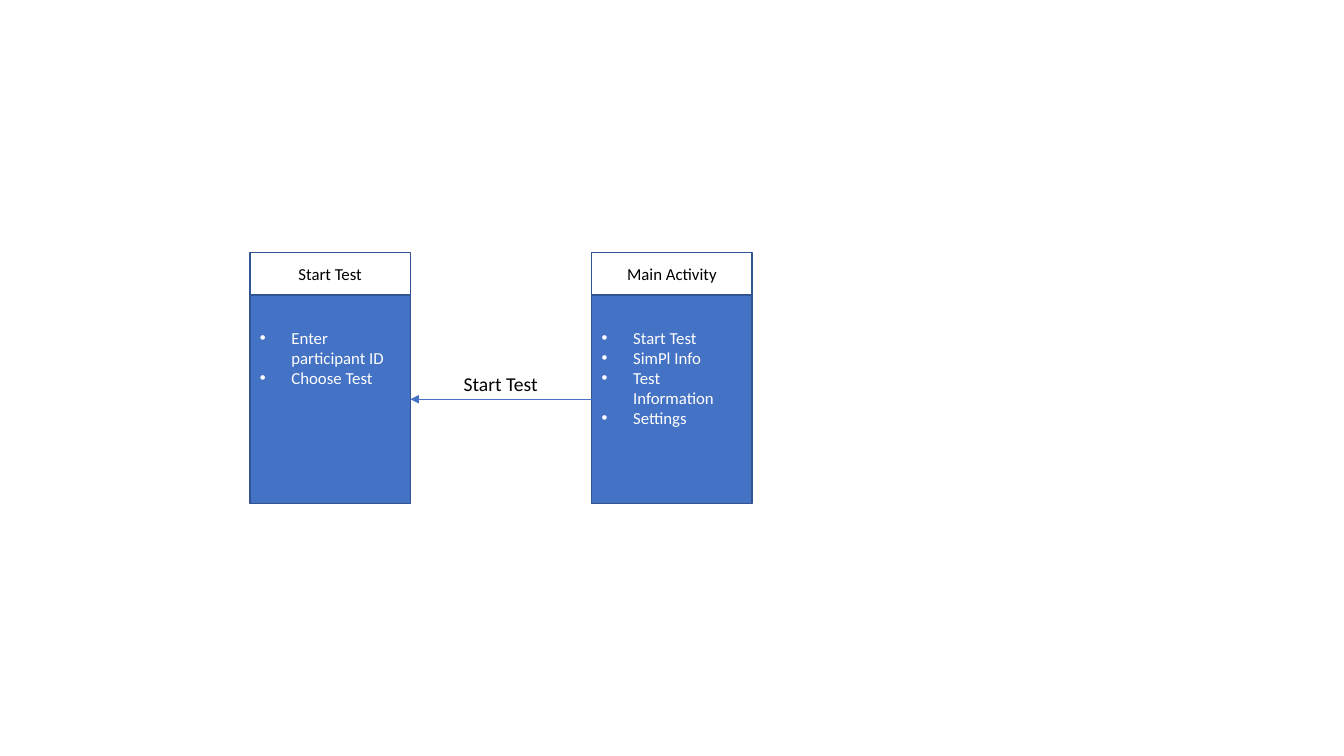
from lxml import etree
from pptx import Presentation
from pptx.dml.color import RGBColor
from pptx.enum.shapes import MSO_CONNECTOR, MSO_SHAPE
from pptx.enum.text import MSO_ANCHOR, MSO_AUTO_SIZE, PP_ALIGN
from pptx.oxml.ns import qn
from pptx.util import Pt

RECTANGLE = MSO_SHAPE.RECTANGLE
STRAIGHT = MSO_CONNECTOR.STRAIGHT
TOP, MIDDLE = MSO_ANCHOR.TOP, MSO_ANCHOR.MIDDLE
LEFT, CENTER = PP_ALIGN.LEFT, PP_ALIGN.CENTER
FIT_SHAPE = MSO_AUTO_SIZE.SHAPE_TO_FIT_TEXT
LEFT_SITE, RIGHT_SITE = 1, 3

SCREENS = [
    {"title": "Main Activity", "left": 422.64,
     "items": ["Start Test", "SimPl Info", "Test Information", "Settings"]},
    {"title": "Start Test", "left": 178.56,
     "items": ["Enter participant ID", "Choose Test"]},
]
ARROW_LABEL = "Start Test"

THEME = {
    "font": "Calibri",
    "blue": RGBColor(0x44, 0x72, 0xC4),
    "border": RGBColor(0x32, 0x54, 0x91),
    "white": RGBColor(0xFF, 0xFF, 0xFF),
    "black": RGBColor(0, 0, 0),
    "box_size": 12,
    "label_size": 14,
}

SLIDE_WIDTH, SLIDE_HEIGHT = 960, 540
CARD_TOP, CARD_WIDTH = 180.3, 114.6
HEADER_HEIGHT, BODY_HEIGHT = 30.4, 149
BODY_INSET = 23.2
BULLET_INDENT = 22.5
LABEL_BOX = (324, 262.1, 68.4, 24.4)


def set_values(target, values):
    for name, value in values.items():
        setattr(target, name, value)


def write_lines(frame, lines, size, color, align):
    for index, line in enumerate(lines):
        para = frame.paragraphs[0] if index == 0 else frame.add_paragraph()
        para.alignment = align
        span = para.add_run()
        span.text = line
        set_values(span.font, {"name": THEME["font"], "size": Pt(size)})
        span.font.color.rgb = color


def add_bullets(frame):
    for para in frame.paragraphs:
        properties = para._p.get_or_add_pPr()
        properties.set("marL", str(Pt(BULLET_INDENT)))
        properties.set("indent", str(-Pt(BULLET_INDENT)))
        etree.SubElement(properties, qn("a:buFont"), typeface="Arial")
        etree.SubElement(properties, qn("a:buChar"), char="•")


def add_box(group, left, top, height, fill, frame_format):
    box = group.shapes.add_shape(
        RECTANGLE, Pt(left), Pt(top), Pt(CARD_WIDTH), Pt(height))
    box.shadow.inherit = False
    if fill is None:
        box.fill.background()
    else:
        box.fill.solid()
        box.fill.fore_color.rgb = fill
    box.line.color.rgb = THEME["border"]
    box.line.width = Pt(1)
    set_values(box.text_frame, {"word_wrap": True, **frame_format})
    return box


def add_screen(page, screen):
    group = page.shapes.add_group_shape()
    body = add_box(group, screen["left"], CARD_TOP + HEADER_HEIGHT, BODY_HEIGHT,
                   THEME["blue"],
                   {"vertical_anchor": TOP, "margin_top": Pt(BODY_INSET)})
    write_lines(body.text_frame, screen["items"], THEME["box_size"],
                THEME["white"], LEFT)
    add_bullets(body.text_frame)
    header = add_box(group, screen["left"], CARD_TOP, HEADER_HEIGHT, None,
                     {"vertical_anchor": MIDDLE})
    write_lines(header.text_frame, [screen["title"]], THEME["box_size"],
                THEME["black"], CENTER)
    return body


def add_arrow(page, source, target):
    arrow = page.shapes.add_connector(STRAIGHT, 0, 0, 0, 0)
    arrow.begin_connect(source, LEFT_SITE)
    arrow.end_connect(target, RIGHT_SITE)
    arrow.line.color.rgb = THEME["blue"]
    arrow.line.width = Pt(0.5)
    etree.SubElement(arrow.line._get_or_add_ln(), qn("a:tailEnd"), type="triangle")
    etree.SubElement(arrow._element.spPr, qn("a:effectLst"))


def add_label(page):
    label = page.shapes.add_textbox(*map(Pt, LABEL_BOX))
    set_values(label.text_frame, {"word_wrap": False, "auto_size": FIT_SHAPE})
    write_lines(label.text_frame, [ARROW_LABEL], THEME["label_size"],
                THEME["black"], LEFT)


def main():
    deck = Presentation()
    set_values(deck, {"slide_width": Pt(SLIDE_WIDTH),
                      "slide_height": Pt(SLIDE_HEIGHT)})
    page = deck.slides.add_slide(deck.slide_layouts[6])
    source, target = [add_screen(page, screen) for screen in SCREENS]
    add_arrow(page, source, target)
    add_label(page)
    deck.save("out.pptx")


if __name__ == "__main__":
    main()
